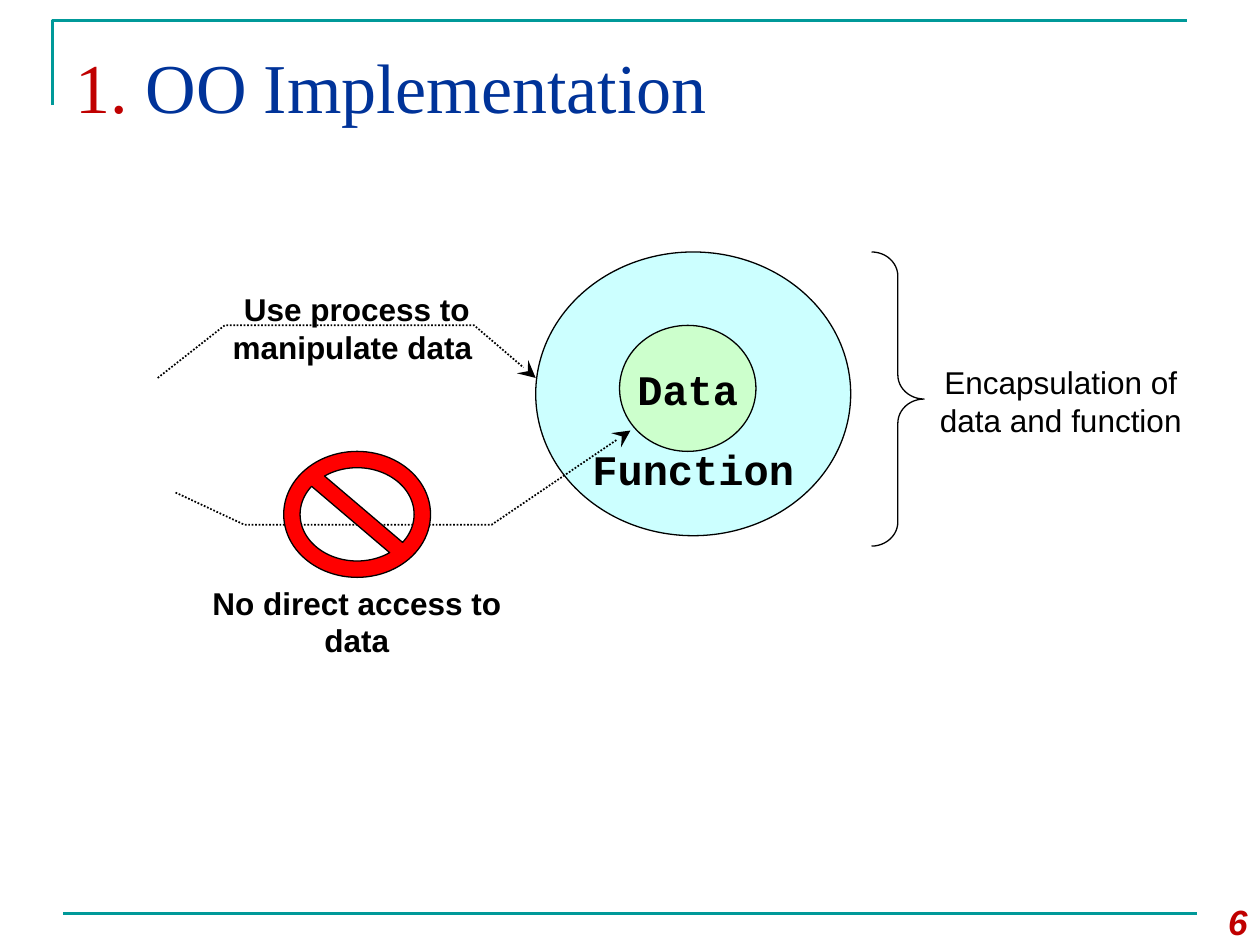
import pptx
import pptx.dml.color
import pptx.enum.dml
import pptx.enum.shapes
import pptx.enum.text
import pptx.oxml
import pptx.oxml.ns
import pptx.util

Cm = pptx.util.Cm
Pt = pptx.util.Pt
Shape = pptx.enum.shapes.MSO_SHAPE
Align = pptx.enum.text.PP_ALIGN
Anchor = pptx.enum.text.MSO_ANCHOR

COLORS = {
    "teal": "009999",
    "red": "C00000",
    "navy": "003399",
    "black": "000000",
    "cyan": "CCFFFF",
    "green": "CCFFCC",
    "forbidden": "FF0000",
}


def color(name):
    return pptx.dml.color.RGBColor.from_string(COLORS[name])


def add_span(para, text, font, size, shade, bold=False, italic=False):
    span = para.add_run()
    span.text = text
    span.font.name = font
    span.font.size = Pt(size)
    span.font.color.rgb = color(shade)
    span.font.bold = bold
    span.font.italic = italic


def add_label(page, box, text, align=Align.CENTER, size=18, shade="black", bold=False, italic=False):
    label = page.shapes.add_textbox(*map(Cm, box))
    label.text_frame.word_wrap = True
    para = label.text_frame.paragraphs[0]
    para.alignment = align
    add_span(para, text, "Arial", size, shade, bold, italic)


def add_figure(page, kind, box, fill=None):
    figure = page.shapes.add_shape(kind, *map(Cm, box))
    figure.shadow.inherit = False
    figure.line.color.rgb = color("black")
    figure.line.width = Pt(0.75)
    if fill:
        figure.fill.solid()
        figure.fill.fore_color.rgb = color(fill)
    else:
        figure.fill.background()
    return figure


def add_circle(page, box, text, fill, anchor):
    circle = add_figure(page, Shape.OVAL, box, fill)
    frame = circle.text_frame
    frame.word_wrap = False
    frame.vertical_anchor = anchor
    if anchor == Anchor.BOTTOM:
        frame.margin_bottom = 0
    para = frame.paragraphs[0]
    para.alignment = Align.CENTER
    add_span(para, text, "Courier New", 24, "black", bold=True)


def add_outline(page, left, top, points, shade, width):
    start, *rest = [(Cm(left + x), Cm(top + y)) for x, y in points]
    builder = page.shapes.build_freeform(*start)
    builder.add_line_segments(rest, close=False)
    outline = builder.convert_to_shape()
    outline.shadow.inherit = False
    outline.fill.background()
    outline.line.color.rgb = color(shade)
    outline.line.width = Pt(width)
    return outline


def add_dotted_arrow(page, left, top, points):
    arrow = add_outline(page, left, top, points, "black", 1)
    arrow.line.dash_style = pptx.enum.dml.MSO_LINE.ROUND_DOT
    head = pptx.oxml.parse_xml(
        f'<a:tailEnd {pptx.oxml.ns.nsdecls("a")} type="stealth" w="lg" len="lg"/>'
    )
    arrow.line._get_or_add_ln().append(head)


def add_frame(page, left, top, width, height):
    add_outline(page, left, top, [(0, 1.7), (0, 0), (width, 0)], "teal", 1.5)
    rule = page.shapes.add_connector(
        pptx.enum.shapes.MSO_CONNECTOR.STRAIGHT,
        Cm(left + 0.21), Cm(top + height), Cm(left + 0.21 + width), Cm(top + height),
    )
    rule.line.color.rgb = color("teal")
    rule.line.width = Pt(1.5)
    rule._element.spPr.append(
        pptx.oxml.parse_xml(f'<a:effectLst {pptx.oxml.ns.nsdecls("a")}/>')
    )


def add_title(page, left, top, width, height):
    title = page.shapes.title
    title.left, title.top, title.width, title.height = map(Cm, (left, top, width, height))
    title.text_frame.vertical_anchor = Anchor.MIDDLE
    para = title.text_frame.paragraphs[0]
    para.alignment = Align.LEFT
    add_span(para, "1. ", "Times New Roman", 40, "red")
    add_span(para, "OO Implementation", "Times New Roman", 40, "navy")


def add_access_diagram(page, left, top):
    def at(x, y, width, height):
        return left + x, top + y, width, height

    add_dotted_arrow(page, left, top, [(0, 2.54), (1.35, 1.48), (6.38, 1.48), (7.62, 2.54)])
    add_label(page, at(0.84, 6.56, 6.35, 1.78), "No direct access to data", bold=True)
    add_circle(page, at(7.62, 0, 6.35, 5.72), "Function", "cyan", Anchor.BOTTOM)
    add_circle(page, at(9.31, 1.48, 2.75, 2.54), "Data", "green", Anchor.MIDDLE)
    add_dotted_arrow(page, left, top, [(0.36, 4.85), (1.75, 5.5), (6.73, 5.5), (9.53, 3.6)])
    sign = add_figure(page, Shape.NO_SYMBOL, at(2.54, 4.02, 2.96, 2.54), "forbidden")
    sign.adjustments[0] = 0.13
    add_label(page, at(0.84, 0.64, 6.35, 1.78), "Use process to manipulate data ", bold=True)


def add_encapsulation(page, left, top, height):
    brace = add_figure(page, Shape.RIGHT_BRACE, (left, top, 1.06, height))
    brace.adjustments[0] = 0.46
    add_label(page, (left + 0.64, top + 2.12, 6.35, 1.78), "Encapsulation of data and function")


def main():
    deck = pptx.Presentation()
    deck.slide_width, deck.slide_height = Cm(25.4), Cm(19.05)
    page = deck.slides.add_slide(deck.slide_layouts.get_by_name("Title Only"))
    add_frame(page, 1.06, 0.42, 22.86, 18)
    add_title(page, 1.27, 0.64, 22.86, 2.18)
    add_access_diagram(page, 3.18, 5.08)
    add_encapsulation(page, 17.57, 5.08, 5.93)
    add_label(page, (23.71, 18.03, 1.69, 1.02), "6", Align.RIGHT, 20, "red", True, True)
    deck.save("out.pptx")


if __name__ == "__main__":
    main()
